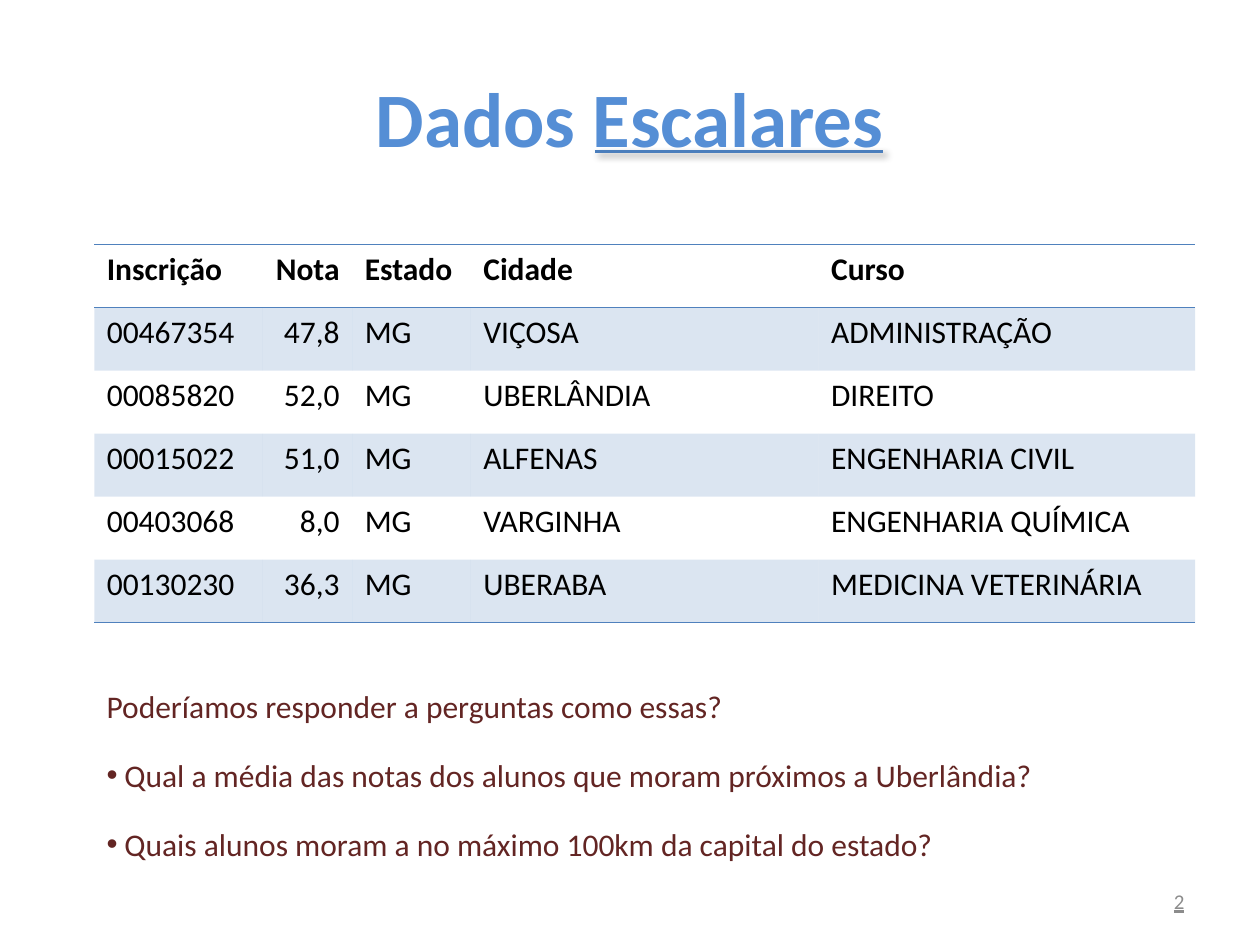
from lxml.etree import SubElement
from pptx import Presentation
from pptx.dml.color import RGBColor
from pptx.enum.shapes import MSO_CONNECTOR
from pptx.enum.text import MSO_ANCHOR, PP_ALIGN
from pptx.oxml import parse_xml
from pptx.oxml.ns import nsdecls, qn
from pptx.util import Cm, Pt

BLUE = "4F81BD"
BROWN = "632523"


def color(value):
    return RGBColor.from_string(value)


def write(para, text, size=18, fill="000000", bold=False, underline=False,
          align=PP_ALIGN.LEFT):
    para.alignment = align
    span = para.add_run()
    span.text = text
    span.font.name = "Calibri"
    span.font.size = Pt(size)
    span.font.bold = bold
    span.font.underline = underline
    span.font.color.rgb = color(fill)


deck = Presentation()
deck.slide_width, deck.slide_height = Cm(25.4), Cm(19.05)
page = deck.slides.add_slide(deck.slide_layouts[5])

# Title and its underline
title = page.shapes.title
title.left, title.top, title.width, title.height = Cm(1.27), Cm(0.76), Cm(22.86), Cm(3.18)
title.text_frame.vertical_anchor = MSO_ANCHOR.MIDDLE
write(title.text_frame.paragraphs[0], "Dados Escalares", size=44, fill="558ED5",
      bold=True, align=PP_ALIGN.CENTER)

underline = page.shapes.add_connector(
    MSO_CONNECTOR.STRAIGHT, Cm(11.99), Cm(3.05), Cm(17.81), Cm(3.05))
underline.line.color.rgb = color("4B7EBC")
underline.line.width = Pt(1.75)
underline.element.spPr.append(parse_xml(
    f'<a:effectLst {nsdecls("a")}>'
    f'<a:outerShdw blurRad="{Pt(4)}" dist="{Pt(3)}" dir="2700000" algn="tl" rotWithShape="0">'
    '<a:srgbClr val="000000"><a:alpha val="40000"/></a:srgbClr>'
    '</a:outerShdw></a:effectLst>'))

# Table of students
rows = [
    ("Inscrição", "Nota", "Estado", "Cidade", "Curso"),
    ("00467354", "47,8", "MG", "VIÇOSA", "ADMINISTRAÇÃO"),
    ("00085820", "52,0", "MG", "UBERLÂNDIA", "DIREITO"),
    ("00015022", "51,0", "MG", "ALFENAS", "ENGENHARIA CIVIL"),
    ("00403068", "8,0", "MG", "VARGINHA", "ENGENHARIA QUÍMICA"),
    ("00130230", "36,3", "MG", "UBERABA", "MEDICINA VETERINÁRIA"),
]
widths = [3.4, 1.8, 2.39, 7.01, 7.59]
row_height = 1.27
borders = {0: ("lnT", "lnB"), len(rows) - 1: ("lnB",)}

table = page.shapes.add_table(
    len(rows), len(widths), Cm(1.9), Cm(4.93),
    Cm(sum(widths)), Cm(row_height * len(rows))).table
table.first_row = table.horz_banding = False
style = table._tbl.tblPr.find(qn("a:tableStyleId"))
style.text = "{2D5ABB26-0587-4C30-8999-92F81FD0307C}"  # no style, no grid
for column, width in zip(table.columns, widths):
    column.width = Cm(width)

for row_index, row in enumerate(rows):
    table.rows[row_index].height = Cm(row_height)
    for column_index, text in enumerate(row):
        cell = table.cell(row_index, column_index)
        write(cell.text_frame.paragraphs[0], text, bold=row_index == 0,
              align=PP_ALIGN.RIGHT if column_index == 1 else PP_ALIGN.LEFT)
        properties = cell._tc.get_or_add_tcPr()
        if row_index % 2:
            cell.fill.solid()
            cell.fill.fore_color.rgb = color(BLUE)
            tint = properties.find(".//" + qn("a:srgbClr"))
            SubElement(tint, qn("a:alpha"), val="20000")
        else:
            cell.fill.background()
        for position, side in enumerate(borders.get(row_index, ())):
            properties.insert(position, parse_xml(
                f'<a:{side} {nsdecls("a")} w="{Pt(1)}"><a:solidFill>'
                f'<a:srgbClr val="{BLUE}"/></a:solidFill></a:{side}>'))

# Questions: top, height and (text, bulleted) paragraphs of each box
questions = [
    (13.72, 2.44, [
        ("Poderíamos responder a perguntas como essas?", False),
        ("Qual a média das notas dos alunos que moram próximos a Uberlândia?", True),
    ]),
    (16.51, 1.02, [
        ("Quais alunos moram a no máximo 100km da capital do estado?", True),
    ]),
]
for top, height, lines in questions:
    box = page.shapes.add_textbox(Cm(1.9), Cm(top), Cm(21.79), Cm(height))
    frame = box.text_frame
    frame.word_wrap = True
    for index, (text, bulleted) in enumerate(lines):
        para = frame.add_paragraph() if index else frame.paragraphs[0]
        write(para, text, fill=BROWN)
        if bulleted:
            properties = para._p.get_or_add_pPr()
            properties.set("marL", str(Cm(0.36)))
            properties.set("indent", str(-Cm(0.36)))
            SubElement(properties, qn("a:buFont"), typeface="Arial")
            SubElement(properties, qn("a:buChar"), char="•")
        else:
            para.space_after = Pt(18)

# Page number
number = page.shapes.add_textbox(Cm(18.21), Cm(17.65), Cm(5.92), Cm(1.02))
number.text_frame.word_wrap = True
number.text_frame.vertical_anchor = MSO_ANCHOR.MIDDLE
write(number.text_frame.paragraphs[0], "2", size=12, fill="8C8C8C",
      underline=True, align=PP_ALIGN.RIGHT)

deck.save("out.pptx")
